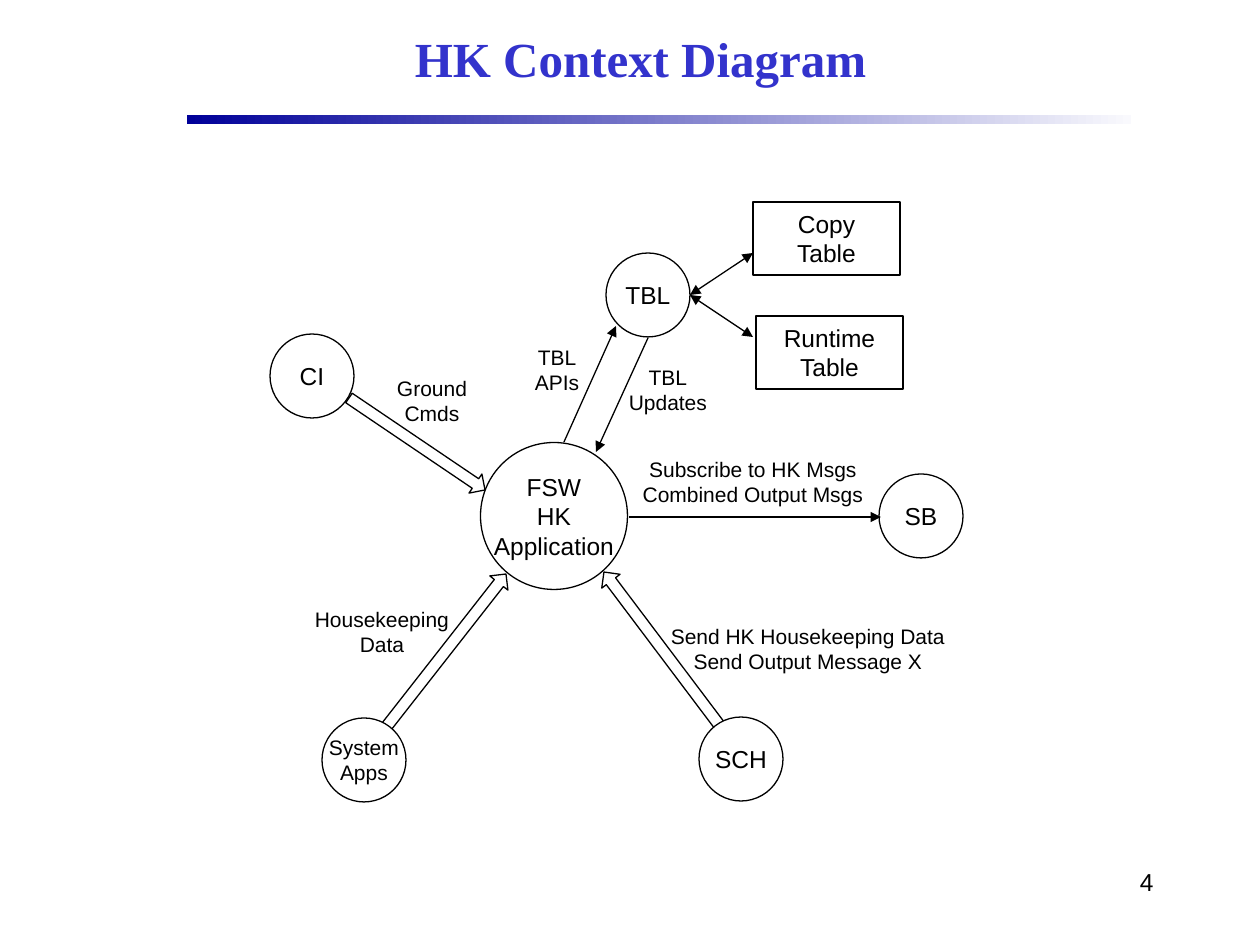
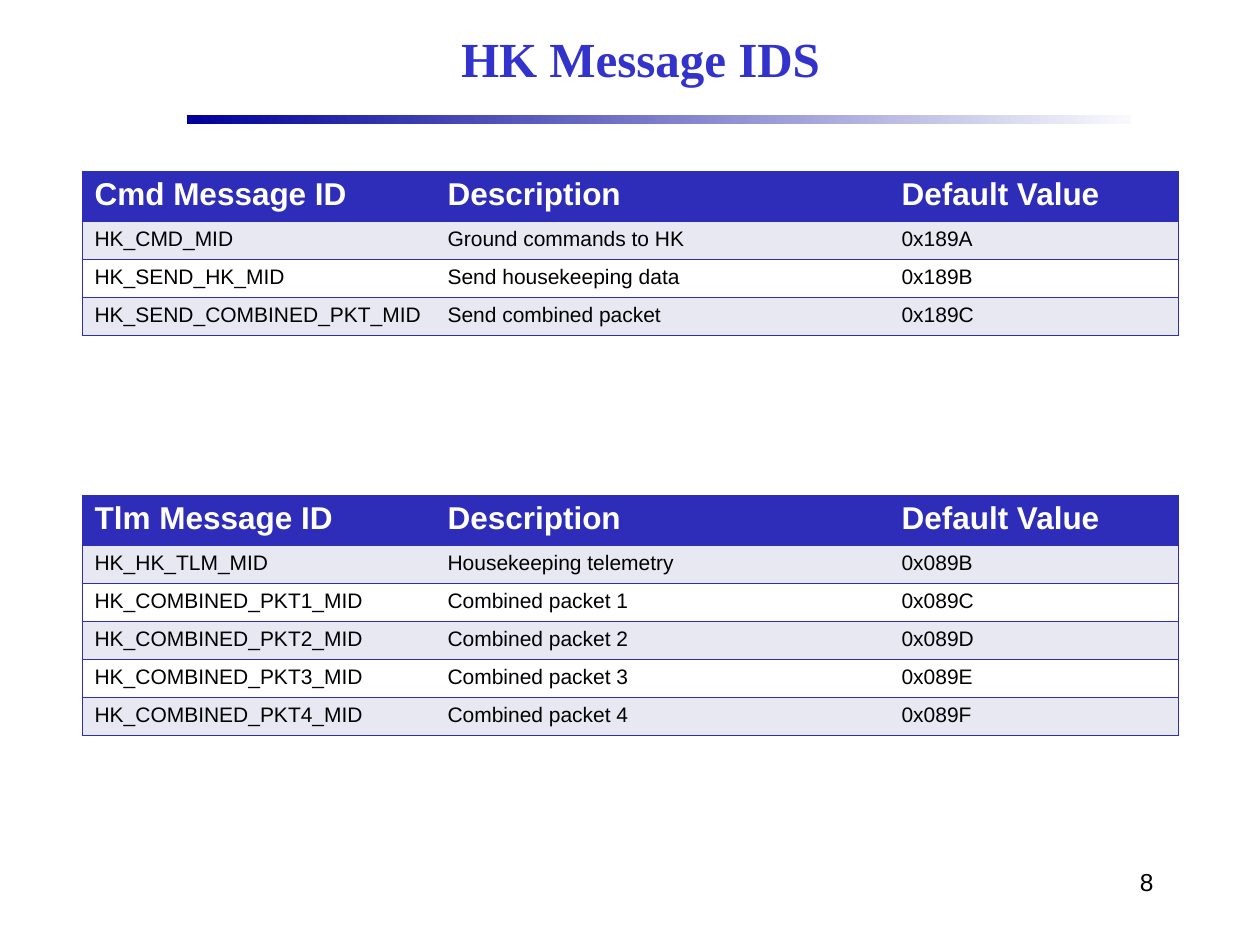
from dataclasses import dataclass
from math import atan2, degrees, hypot

from lxml.etree import SubElement
from pptx import Presentation
from pptx.dml.color import RGBColor as Rgb
from pptx.enum.shapes import MSO_CONNECTOR as Connector, MSO_SHAPE as Preset
from pptx.enum.text import MSO_ANCHOR as Anchor, MSO_AUTO_SIZE as AutoSize, PP_ALIGN as Align
from pptx.oxml.ns import qn
from pptx.util import Emu, Pt


@dataclass(frozen=True)
class Theme:
    ink: str = "000000"
    paper: str = "FFFFFF"
    title: str = "3333CC"
    band_start: str = "000099"
    band_end: str = "F9F9FD"
    header: str = "2D2DB9"
    stripe: str = "E8E8F3"
    title_font: str = "Times New Roman"
    body_font: str = "Arial"
    title_size: int = 28
    header_size: int = 18
    node_size: int = 14
    label_size: int = 12
    line_width: float = 0.75
    border_width: float = 0.45


THEME = Theme()
EMU_PER_PX = 914400 / 126
PAGE_SIZE = (1260, 945)
BAND_BOX = (187, 115, 944, 9)
TITLE_BOX = (189, 11, 903, 94)
NUMBER_BOX = (903, 861, 263, 63)

# Circles: lines of text, centre, diameter, type size, filled
CIRCLES = [
    (["FSW", "HK", "Application"], (554, 516), 147, THEME.node_size, False),
    (["SB"], (921, 516), 84, THEME.node_size, False),
    (["TBL"], (648, 295), 84, THEME.node_size, False),
    (["CI"], (312, 376), 84, THEME.node_size, False),
    (["SCH"], (741, 759), 84, THEME.node_size, True),
    (["System", "Apps"], (364, 760), 84, THEME.label_size, True),
]
TABLE_BOXES = [
    (["Copy", "Table"], (753, 202, 147, 73)),
    (["Runtime", "Table"], (756, 316, 147, 73)),
]
# Thin arrows: start, end, pointed at both ends
THIN_ARROWS = [
    ((564, 442), (616, 326), False),
    ((648, 338), (596, 452), False),
    ((629, 517), (881, 517), False),
    ((690, 295), (753, 253), True),
    ((690, 295), (753, 337), True),
]
BLOCK_ARROWS = [
    ((349, 398), (485, 490)),
    ((387, 726), (506, 574)),
    ((720, 726), (604, 572)),
]
BLOCK_ARROW_HEIGHT = 23
# Labels: lines of text, centre of the top edge, width
LABELS = [
    (["Housekeeping", "Data"], (382, 600), 180),
    (["Ground", "Cmds"], (432, 369), 110),
    (["TBL", "APIs"], (557, 338), 84),
    (["TBL", "Updates"], (668, 358), 116),
    (["Subscribe to HK Msgs", "Combined Output Msgs"], (753, 450), 260),
    (["Send HK Housekeeping Data", "Send Output Message X"], (808, 617), 316),
]
LABEL_HEIGHT = 63

TABLE_LEFT = 82
COLUMN_WIDTHS = (353, 454, 289)
HEADER_HEIGHT, ROW_HEIGHT = 50, 38
# Tables: top, rows
MESSAGE_TABLES = [
    (171, [
        ("Cmd Message ID", "Description", "Default Value"),
        ("HK_CMD_MID", "Ground commands to HK", "0x189A"),
        ("HK_SEND_HK_MID", "Send housekeeping data", "0x189B"),
        ("HK_SEND_COMBINED_PKT_MID", "Send combined packet", "0x189C"),
    ]),
    (495, [
        ("Tlm Message ID", "Description", "Default Value"),
        ("HK_HK_TLM_MID", "Housekeeping telemetry", "0x089B"),
        ("HK_COMBINED_PKT1_MID", "Combined packet 1", "0x089C"),
        ("HK_COMBINED_PKT2_MID", "Combined packet 2", "0x089D"),
        ("HK_COMBINED_PKT3_MID", "Combined packet 3", "0x089E"),
        ("HK_COMBINED_PKT4_MID", "Combined packet 4", "0x089F"),
    ]),
]


def px(*lengths):
    return [Emu(round(length * EMU_PER_PX)) for length in lengths]


def color(name):
    return Rgb.from_string(name)


def write(frame, lines, size, align=Align.CENTER, ink=THEME.ink,
          font=THEME.body_font, bold=False):
    """Put each line in its own paragraph, as one formatted run."""
    for index, line in enumerate(lines):
        para = frame.add_paragraph() if index else frame.paragraphs[0]
        para.alignment = align
        span = para.add_run()
        span.text = line
        span.font.name = font
        span.font.size = Pt(size)
        span.font.bold = bold
        span.font.color.rgb = color(ink)


def add_outline(page, preset, box, filled=False):
    shape = page.shapes.add_shape(preset, *px(*box))
    shape.shadow.inherit = False
    if filled:
        shape.fill.solid()
        shape.fill.fore_color.rgb = color(THEME.paper)
    else:
        shape.fill.background()
    shape.line.color.rgb = color(THEME.ink)
    shape.line.width = Pt(THEME.line_width)
    return shape


def add_node(page, preset, box, lines, size, filled=False):
    frame = add_outline(page, preset, box, filled).text_frame
    frame.word_wrap = False
    frame.vertical_anchor = Anchor.MIDDLE
    write(frame, lines, size)


def add_label(page, lines, center, top, width):
    box = (center - width / 2, top, width, LABEL_HEIGHT)
    frame = page.shapes.add_textbox(*px(*box)).text_frame
    frame.word_wrap = False
    frame.auto_size = AutoSize.SHAPE_TO_FIT_TEXT
    write(frame, lines, THEME.label_size)


def add_thin_arrow(page, start, end, both_ends):
    arrow = page.shapes.add_connector(Connector.STRAIGHT, *px(*start, *end))
    arrow.line.color.rgb = color(THEME.ink)
    arrow.line.width = Pt(THEME.line_width)
    properties = arrow.element.spPr
    line = properties.find(qn("a:ln"))
    for tag in ("a:headEnd", "a:tailEnd") if both_ends else ("a:tailEnd",):
        SubElement(line, qn(tag), type="triangle")
    SubElement(properties, qn("a:effectLst"))


def add_block_arrow(page, start, end):
    """Lay a right arrow between two points by turning it about its centre."""
    across, down = end[0] - start[0], end[1] - start[1]
    length = hypot(across, down)
    left = (start[0] + end[0] - length) / 2
    top = (start[1] + end[1] - BLOCK_ARROW_HEIGHT) / 2
    arrow = add_outline(page, Preset.RIGHT_ARROW,
                        (left, top, length, BLOCK_ARROW_HEIGHT))
    arrow.rotation = degrees(atan2(down, across)) % 360


def set_borders(cell, sides):
    """Draw the named sides (L, R, T, B) and clear the others."""
    properties = cell._tc.get_or_add_tcPr()
    for side in "LRTB":
        line = SubElement(properties, qn(f"a:ln{side}"),
                          w=str(Pt(THEME.border_width)))
        if side in sides:
            fill = SubElement(line, qn("a:solidFill"))
            SubElement(fill, qn("a:srgbClr"), val=THEME.header)
        else:
            SubElement(line, qn("a:noFill"))


def add_message_table(page, top, rows):
    heights = [HEADER_HEIGHT] + [ROW_HEIGHT] * (len(rows) - 1)
    box = (TABLE_LEFT, top, sum(COLUMN_WIDTHS), sum(heights))
    table = page.shapes.add_table(len(rows), len(COLUMN_WIDTHS), *px(*box)).table
    for column, width in zip(table.columns, px(*COLUMN_WIDTHS)):
        column.width = width
    for row, height in zip(table.rows, px(*heights)):
        row.height = height
    outer_sides = {0: "L", len(COLUMN_WIDTHS) - 1: "R"}
    for r, values in enumerate(rows):
        is_header = r == 0
        background = THEME.header if is_header else (THEME.paper, THEME.stripe)[r % 2]
        for c, value in enumerate(values):
            cell = table.cell(r, c)
            set_borders(cell, "TB" + outer_sides.get(c, ""))
            cell.fill.solid()
            cell.fill.fore_color.rgb = color(background)
            write(cell.text_frame, [value],
                  THEME.header_size if is_header else THEME.label_size,
                  Align.LEFT, THEME.paper if is_header else THEME.ink,
                  bold=is_header)


def add_layout_band(layout, page):
    """Shape the gradient band on a page, then move it to the shared layout."""
    band = page.shapes.add_shape(Preset.RECTANGLE, *px(*BAND_BOX))
    band.shadow.inherit = False
    band.line.fill.background()
    band.fill.gradient()
    band.fill.gradient_angle = 0
    for stop, name in zip(band.fill.gradient_stops, (THEME.band_start, THEME.band_end)):
        stop.color.rgb = color(name)
    band.element.nvSpPr.cNvPr.set("id", "99")
    layout.shapes.element.insert(2, band.element)


def add_page(deck, layout, title, number):
    page = deck.slides.add_slide(layout)
    heading = page.shapes.title
    heading.left, heading.top, heading.width, heading.height = px(*TITLE_BOX)
    heading.text_frame.vertical_anchor = Anchor.MIDDLE
    write(heading.text_frame, [title], THEME.title_size, ink=THEME.title,
          font=THEME.title_font, bold=True)
    frame = page.shapes.add_textbox(*px(*NUMBER_BOX)).text_frame
    frame.word_wrap = True
    write(frame, [str(number)], THEME.node_size, Align.RIGHT)
    return page


def draw_context(page):
    for start, end in BLOCK_ARROWS:
        add_block_arrow(page, start, end)
    for lines, (x, y), diameter, size, filled in CIRCLES:
        box = (x - diameter / 2, y - diameter / 2, diameter, diameter)
        add_node(page, Preset.OVAL, box, lines, size, filled)
    for lines, box in TABLE_BOXES:
        add_node(page, Preset.RECTANGLE, box, lines, THEME.node_size)
    for start, end, both_ends in THIN_ARROWS:
        add_thin_arrow(page, start, end, both_ends)
    for lines, (center, top), width in LABELS:
        add_label(page, lines, center, top, width)


def main():
    deck = Presentation()
    deck.slide_width, deck.slide_height = px(*PAGE_SIZE)
    layout = deck.slide_layouts.get_by_name("Title Only")

    context_page = add_page(deck, layout, "HK Context Diagram", 4)
    add_layout_band(layout, context_page)
    draw_context(context_page)

    message_page = add_page(deck, layout, "HK Message IDS", 8)
    for top, rows in MESSAGE_TABLES:
        add_message_table(message_page, top, rows)

    deck.save("out.pptx")


if __name__ == "__main__":
    main()
